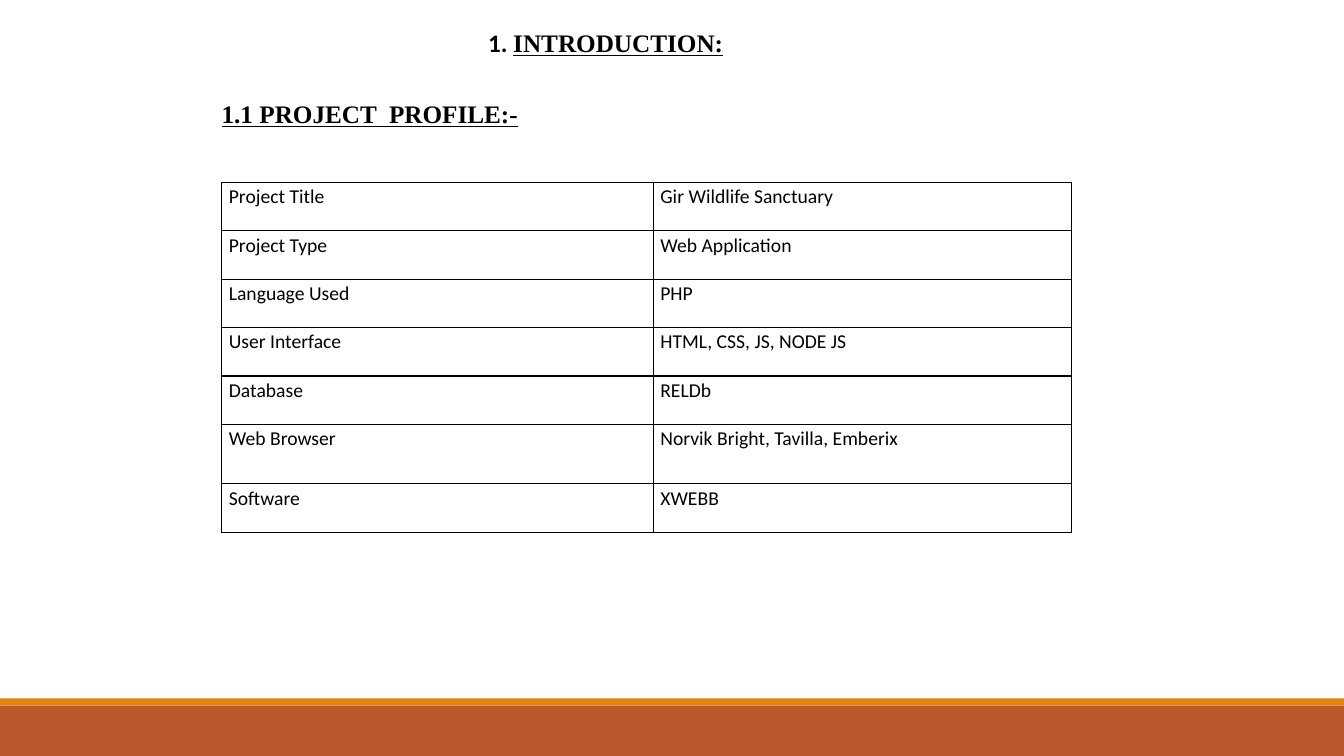
from dataclasses import dataclass

from lxml import etree
from pptx import Presentation
from pptx.dml.color import RGBColor
from pptx.enum.shapes import MSO_SHAPE
from pptx.enum.text import MSO_ANCHOR, MSO_AUTO_SIZE, PP_ALIGN
from pptx.oxml.ns import qn
from pptx.util import Inches, Pt

RECT = MSO_SHAPE.RECTANGLE
TOP = MSO_ANCHOR.TOP
NO_FIT = MSO_AUTO_SIZE.NONE
LEFT = PP_ALIGN.LEFT
SANS = "Calibri"
SERIF = "Times New Roman"
BLACK = "000000"
TITLE_ONLY = 5


@dataclass
class Band:
    """A full-width strip at the foot of the slide."""
    top: float
    height: float
    color: str


@dataclass
class Entry:
    """A row of the project profile."""
    label: str
    value: str
    height: float = 0.48


BANDS = [Band(7, 0.5, "BD582C"), Band(6.93, 0.07, "E48312")]
ENTRIES = [
    Entry("Project Title", "Gir Wildlife Sanctuary"),
    Entry("Project Type", "Web Application"),
    Entry("Language Used", "PHP"),
    Entry("User Interface", "HTML, CSS, JS, NODE JS"),
    Entry("Database", "RELDb"),
    Entry("Web Browser", "Norvik Bright, Tavilla, Emberix", 0.59),
    Entry("Software", "XWEBB"),
]
WIDTHS = [4.28, 4.15]


def paint(target, color: str) -> None:
    """Set a colour format from a hex string."""
    target.rgb = RGBColor.from_string(color)


def style(run, size: float, font: str, bold: bool = False, line: bool = False) -> None:
    """Format a run of black text."""
    run.font.size = Pt(size)
    run.font.name = font
    run.font.bold = bold
    run.font.underline = line
    paint(run.font.color, BLACK)


def space(para, lines: float, after: float) -> None:
    """Left-align a paragraph and set its spacing."""
    para.alignment = LEFT
    para.line_spacing = lines
    para.space_after = Pt(after)


def place(shape, left: float, top: float, height: float):
    """Move a heading, reset its frame and return its first paragraph."""
    shape.left, shape.top = Inches(left), Inches(top)
    shape.width, shape.height = Inches(6.67), Inches(height)
    frame = shape.text_frame
    frame.word_wrap = True
    frame.auto_size = NO_FIT
    frame.vertical_anchor = TOP
    return frame.paragraphs[0]


def add_band(slide, band: Band) -> None:
    """Draw a plain strip across the slide."""
    shape = slide.shapes.add_shape(
        RECT, 0, Inches(band.top), Inches(13.33), Inches(band.height))
    shape.shadow.inherit = False
    shape.fill.solid()
    paint(shape.fill.fore_color, band.color)
    shape.line.fill.background()


def add_heads(slide) -> None:
    """Write the title and the section heading."""
    title = place(slide.shapes.title, 4.49, 0.19, 0.42)
    title.text = "1. "
    title.add_run().text = "INTRODUCTION:"
    style(title.runs[0], 18, SANS, bold=True)
    style(title.runs[1], 18, SERIF, bold=True, line=True)
    space(title, 1.1, 5.8)
    props = title._p.get_or_add_pPr()
    props.set("marL", str(Inches(0.26)))
    props.set("indent", str(Inches(-0.01)))

    box = slide.shapes.add_textbox(0, 0, 0, 0)
    head = place(box, 2.1, 0.91, 0.41)
    head.text = "1.1 PROJECT  PROFILE:-"
    style(head.runs[0], 18, SERIF, bold=True, line=True)
    space(head, 1.07, 9.5)


def frame_cell(cell) -> None:
    """Give a cell thin black borders on all sides."""
    props = cell._tc.get_or_add_tcPr()
    for spot, side in enumerate(("lnL", "lnR", "lnT", "lnB")):
        line = etree.Element(qn(f"a:{side}"), w=str(Pt(1)))
        fill = etree.SubElement(line, qn("a:solidFill"))
        etree.SubElement(fill, qn("a:srgbClr"), val=BLACK)
        props.insert(spot, line)


def fill_cell(cell, text: str) -> None:
    """Write and format one table cell."""
    cell.margin_left, cell.margin_right = Inches(0.07), Inches(0.08)
    cell.margin_top, cell.margin_bottom = Inches(0.01), 0
    cell.vertical_anchor = TOP
    cell.fill.background()
    frame_cell(cell)
    para = cell.text_frame.paragraphs[0]
    para.text = text
    style(para.runs[0], 14, SANS)
    space(para, 1.07, 8)


def add_profile(slide) -> None:
    """Build the project profile table."""
    height = sum(entry.height for entry in ENTRIES)
    table = slide.shapes.add_table(
        len(ENTRIES), len(WIDTHS), Inches(2.2), Inches(1.81),
        Inches(sum(WIDTHS)), Inches(height)).table
    table.first_row = False
    table.horz_banding = False
    for col, width in zip(table.columns, WIDTHS):
        col.width = Inches(width)
    for row, entry in zip(table.rows, ENTRIES):
        row.height = Inches(entry.height)
        for cell, text in zip(row.cells, (entry.label, entry.value)):
            fill_cell(cell, text)


def main() -> None:
    """Build and save the slide."""
    deck = Presentation()
    deck.slide_width, deck.slide_height = Inches(13.33), Inches(7.5)
    slide = deck.slides.add_slide(deck.slide_layouts[TITLE_ONLY])
    for band in BANDS:
        add_band(slide, band)
    add_heads(slide)
    add_profile(slide)
    deck.save("out.pptx")


if __name__ == "__main__":
    main()
